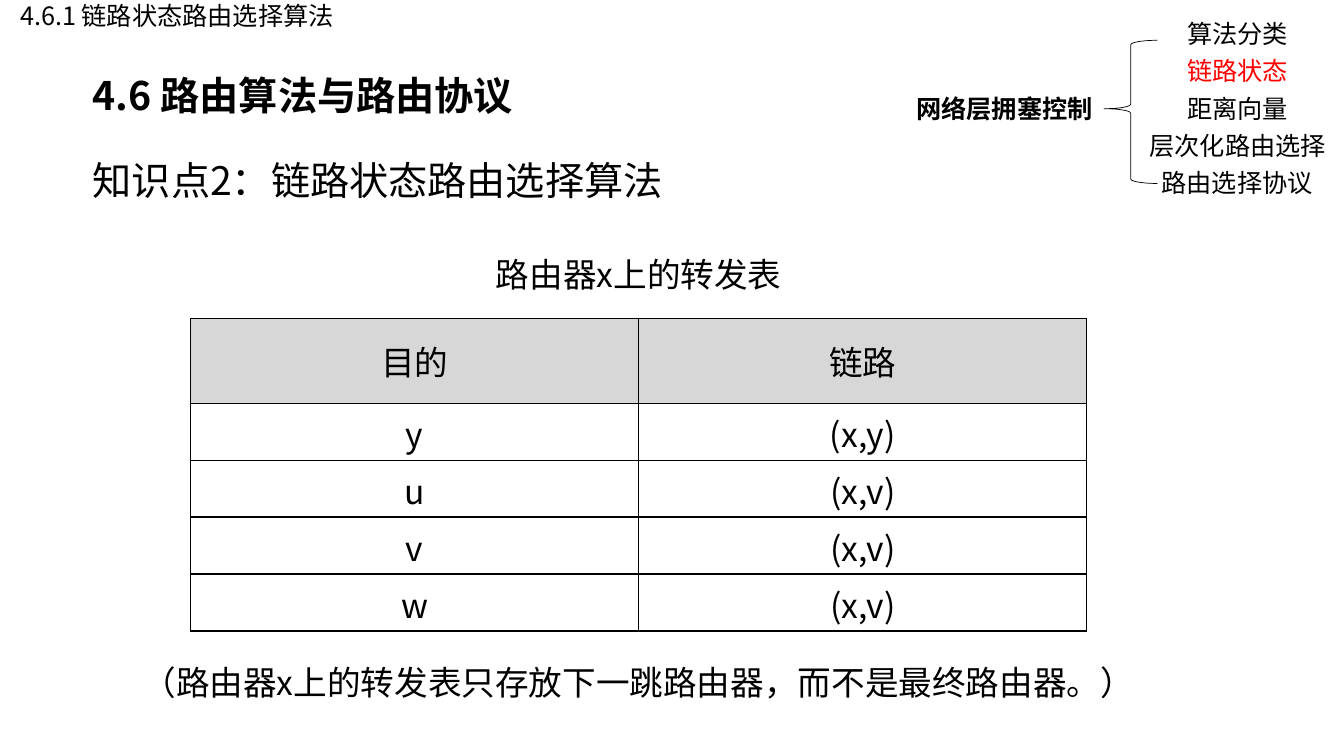
from dataclasses import dataclass

from lxml.etree import SubElement
from pptx import Presentation
from pptx.dml.color import RGBColor
from pptx.enum.shapes import MSO_SHAPE
from pptx.enum.text import MSO_ANCHOR, MSO_AUTO_SIZE, PP_ALIGN
from pptx.oxml.ns import qn
from pptx.slide import Slide
from pptx.table import _Cell
from pptx.text.text import _Paragraph
from pptx.util import Inches, Pt

FONT = "Noto Sans CJK SC"
COLORS = {"ink": "000000", "current": "FF0000", "header": "D7D7D7"}


@dataclass
class Label:
    text: str
    left: float
    top: float
    width: float
    height: float
    size: int = 18
    color: str = "ink"
    bold: bool = False
    align: PP_ALIGN = PP_ALIGN.CENTER
    spacing: float | Pt | None = None
    wrap: bool = False
    grow: bool = True
    anchor: MSO_ANCHOR = MSO_ANCHOR.TOP
    inset_x: float = 0.1
    inset_y: float = 0.05


@dataclass
class Topic:
    text: str
    left: float
    width: float
    color: str = "ink"


def rgb(name: str) -> RGBColor:
    return RGBColor.from_string(COLORS[name])


def style(paragraph: _Paragraph, size: int, color: str = "ink",
          bold: bool = False, align: PP_ALIGN = PP_ALIGN.CENTER) -> None:
    paragraph.alignment = align
    for run in paragraph.runs:
        run.font.size = Pt(size)
        run.font.bold = bold
        run.font.color.rgb = rgb(color)
        run.font.name = FONT
        SubElement(run.font._element, qn("a:ea"), typeface=FONT)


def draw_label(slide: Slide, label: Label) -> None:
    box = slide.shapes.add_textbox(Inches(label.left), Inches(label.top),
                                   Inches(label.width), Inches(label.height))
    frame = box.text_frame
    frame.text = label.text
    frame.word_wrap = label.wrap
    frame.auto_size = MSO_AUTO_SIZE.SHAPE_TO_FIT_TEXT if label.grow else MSO_AUTO_SIZE.NONE
    frame.vertical_anchor = label.anchor
    frame.margin_left = frame.margin_right = Inches(label.inset_x)
    frame.margin_top = frame.margin_bottom = Inches(label.inset_y)
    paragraph = frame.paragraphs[0]
    if label.spacing is not None:
        paragraph.line_spacing = label.spacing
    style(paragraph, label.size, label.color, label.bold, label.align)


def draw_borders(cell: _Cell) -> None:
    properties = cell._tc.get_or_add_tcPr()
    for side in ("lnL", "lnR", "lnT", "lnB"):
        line = SubElement(properties, qn(f"a:{side}"), w=str(Pt(1)))
        fill = SubElement(line, qn("a:solidFill"))
        SubElement(fill, qn("a:srgbClr"), val=COLORS["ink"])


def draw_forwarding_table(slide: Slide, entries: list[tuple[str, str]]) -> None:
    width, height, header_height = 8.89, 3.1, 0.84
    table = slide.shapes.add_table(len(entries), 2, Inches(1.89), Inches(3.16),
                                   Inches(width), Inches(height)).table
    for column in table.columns:
        column.width = Inches(width / 2)
    for index, (row, entry) in enumerate(zip(table.rows, entries)):
        is_header = index == 0
        row.height = Inches(header_height if is_header
                            else (height - header_height) / (len(entries) - 1))
        for cell, text in zip(row.cells, entry):
            cell.text = text
            cell.vertical_anchor = MSO_ANCHOR.MIDDLE
            style(cell.text_frame.paragraphs[0], 24)
            draw_borders(cell)
            if is_header:
                cell.fill.solid()
                cell.fill.fore_color.rgb = rgb("header")
            else:
                cell.fill.background()


def draw_outline(slide: Slide, topics: list[Topic]) -> None:
    brace = slide.shapes.add_shape(MSO_SHAPE.LEFT_BRACE, Inches(10.95), Inches(0.4),
                                   Inches(0.53), Inches(1.42))
    brace.adjustments[0] = 0.083
    brace.adjustments[1] = 0.478
    brace.shadow.inherit = False
    brace.fill.background()
    brace.line.color.rgb = rgb("ink")
    brace.line.width = Pt(0.5)
    draw_label(slide, Label("网络层拥塞控制", 8.99, 0.88, 1.98, 0.4,
                            bold=True, align=PP_ALIGN.LEFT))
    for index, topic in enumerate(topics):
        draw_label(slide, Label(topic.text, topic.left, 0.21 + 0.37 * index,
                                topic.width, 0.33, color=topic.color, spacing=Pt(16)))


def main() -> None:
    presentation = Presentation()
    presentation.slide_width = Inches(13.33)
    presentation.slide_height = Inches(7.5)
    slide = presentation.slides.add_slide(presentation.slide_layouts[6])

    headings = [
        Label("4.6 路由算法与路由协议", 0.8, 0.65, 9.65, 0.59, size=28, bold=True,
              align=PP_ALIGN.LEFT, wrap=True, inset_x=0.12, inset_y=0.06),
        Label("知识点2：链路状态路由选择算法", 0.8, 1.15, 12.16, 1.04, size=28,
              align=PP_ALIGN.LEFT, spacing=1.5, wrap=True, grow=False,
              anchor=MSO_ANCHOR.MIDDLE, inset_x=0.12, inset_y=0.06),
        Label("路由器x上的转发表", 1.43, 2.47, 9.81, 0.5, size=24, wrap=True),
    ]
    for heading in headings:
        draw_label(slide, heading)

    draw_forwarding_table(slide, [
        ("目的", "链路"),
        ("y", "(x,y)"),
        ("u", "(x,v)"),
        ("v", "(x,v)"),
        ("w", "(x,v)"),
    ])
    draw_outline(slide, [
        Topic("算法分类", 11.67, 1.21),
        Topic("链路状态", 11.67, 1.21, "current"),
        Topic("距离向量", 11.67, 1.21),
        Topic("层次化路由选择", 11.29, 1.97),
        Topic("路由选择协议", 11.41, 1.72),
    ])
    draw_label(slide, Label("4.6.1 链路状态路由选择算法", 0.03, 0.03, 3.45, 0.32,
                            spacing=Pt(16)))
    draw_label(slide, Label("（路由器x上的转发表只存放下一跳路由器，而不是最终路由器。）",
                            1.31, 6.52, 10.04, 0.5, size=24, wrap=True))
    presentation.save("out.pptx")


if __name__ == "__main__":
    main()
